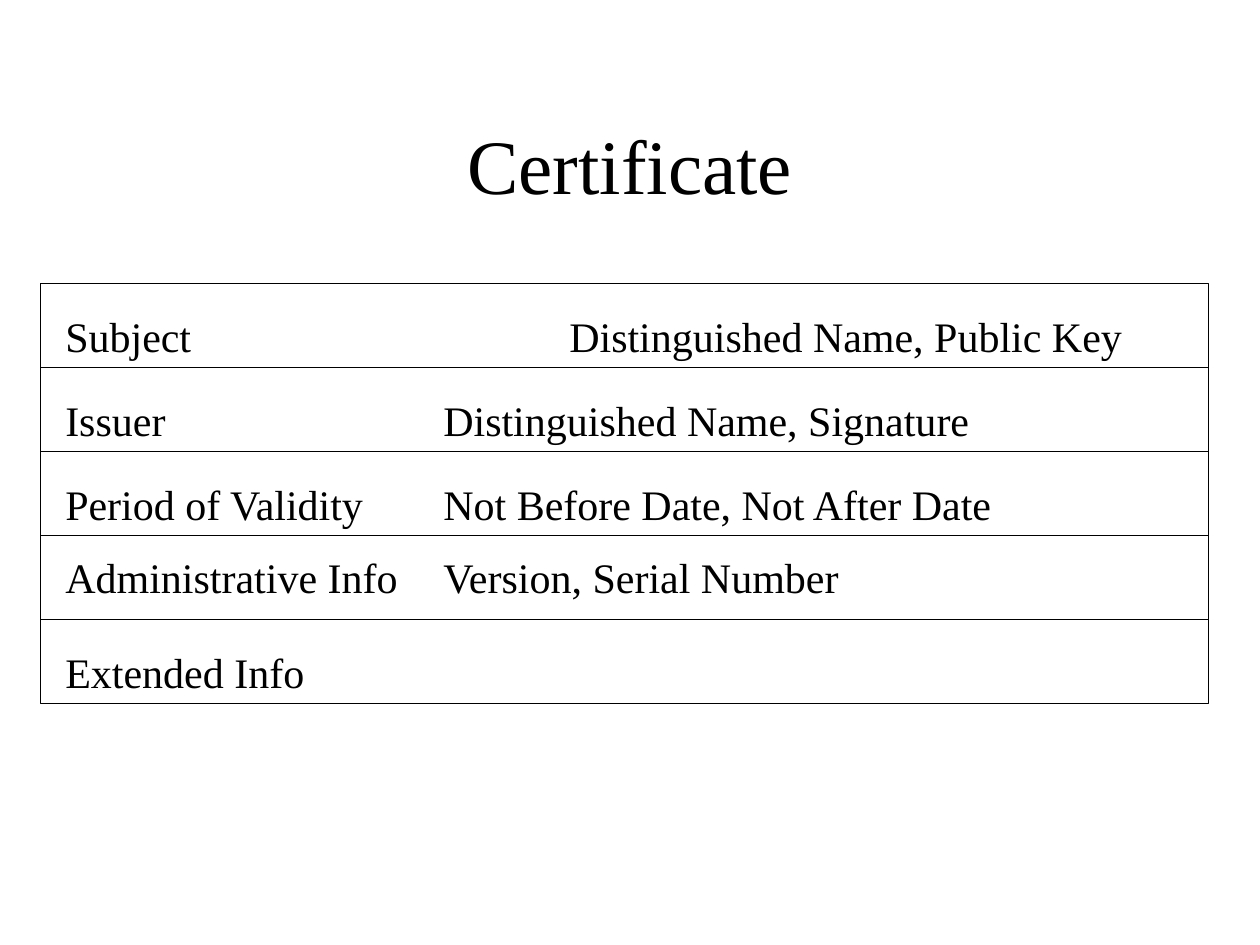
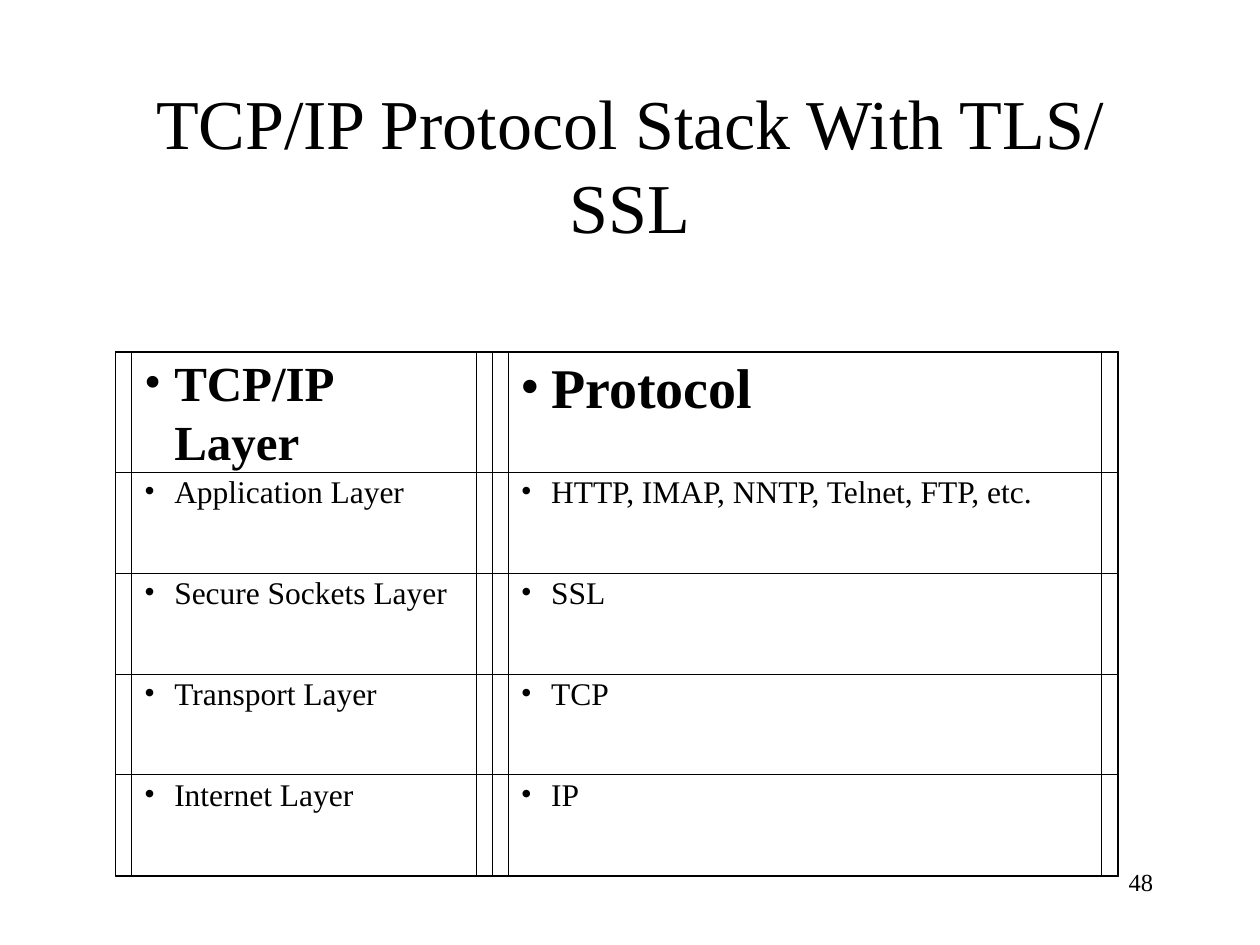
from dataclasses import dataclass
from itertools import accumulate

from lxml import etree
from pptx import Presentation, util as u
from pptx.dml.color import RGBColor
from pptx.enum import shapes, text
from pptx.oxml.ns import qn


@dataclass(frozen=True)
class Theme:
    """Colours, type sizes and line widths shared by the slides."""
    font: str = "Times New Roman"
    ink: RGBColor = RGBColor(0, 0, 0)
    paper: RGBColor = RGBColor(255, 255, 255)
    row: int = 24
    cell: int = 18
    number: int = 14
    row_line: float = 0.74
    grid_line: float = 0.51
    hang: float = 0.24


T = Theme()
W, H = 10, 7.5


def apply(target, **values):
    """Set each given attribute on the target."""
    for name, value in values.items():
        setattr(target, name, value)


def place(box):
    """Turn a box in inches into lengths."""
    return [u.Inches(v) for v in box]


def write(sp, words, size, align=text.PP_ALIGN.LEFT, bold=False,
          anchor=text.MSO_ANCHOR.TOP, pad=0.05):
    """Write one formatted paragraph into a shape and return it."""
    tf = sp.text_frame
    apply(tf, word_wrap=True, auto_size=text.MSO_AUTO_SIZE.NONE, vertical_anchor=anchor,
          margin_left=u.Inches(0.1), margin_right=u.Inches(0.1),
          margin_top=u.Inches(pad), margin_bottom=u.Inches(pad))
    p = tf.paragraphs[0]
    p.alignment = align
    r = p.add_run()
    r.text = words
    apply(r.font, name=T.font, size=u.Pt(size), bold=bold)
    r.font.color.rgb = T.ink
    return p


def add_tabs(p, stops):
    """Give a paragraph left tab stops at the given inches."""
    tabs = etree.SubElement(p._p.get_or_add_pPr(), qn("a:tabLst"))
    for stop in stops:
        etree.SubElement(tabs, qn("a:tab"), pos=str(u.Inches(stop)), algn="l")


def add_bullet(p, size):
    """Give a paragraph a round bullet with a hanging indent."""
    p.space_before = u.Pt(size / 4)
    pPr = p._p.get_or_add_pPr()
    pPr.set("marL", str(u.Inches(T.hang)))
    pPr.set("indent", str(-u.Inches(T.hang)))
    colour = etree.SubElement(pPr, qn("a:buClr"))
    etree.SubElement(colour, qn("a:srgbClr"), val=str(T.ink))
    etree.SubElement(pPr, qn("a:buFont"), typeface=T.font)
    etree.SubElement(pPr, qn("a:buChar"), char="•")


def add_frame(parent, box, line):
    """Draw an unfilled rectangle."""
    sp = parent.add_shape(shapes.MSO_SHAPE.RECTANGLE, *place(box))
    sp.shadow.inherit = False
    sp.fill.background()
    sp.line.color.rgb = T.ink
    sp.line.width = u.Pt(line)
    return sp


def add_slide(prs, title, size):
    """Start a slide with a centred title."""
    s = prs.slides.add_slide(prs.slide_layouts[5])
    s.background.fill.solid()
    s.background.fill.fore_color.rgb = T.paper
    sp = s.shapes.title
    left, top, width, height = place((0.075 * W, 0.09 * H, 0.85 * W, H / 6))
    apply(sp, left=left, top=top, width=width, height=height)
    write(sp, title, size, text.PP_ALIGN.CENTER, anchor=text.MSO_ANCHOR.MIDDLE)
    return s


def add_fields(s, box, rows):
    """Stack equal framed rows, each with tabbed text at its own drop."""
    left, top, width, height = box
    step = height / len(rows)
    for i, (words, drop) in enumerate(rows):
        y = top + i * step
        add_frame(s.shapes, (left, y, width, step), T.row_line)
        sp = s.shapes.add_textbox(*place((left + 0.1, y + drop * step, width - 0.5, 0.75 * step)))
        add_tabs(write(sp, words, T.row), range(8))


def add_layers(s, box, split, gutter, head, rows):
    """Draw a grouped two-column grid with inset bulleted cells."""
    left, top, width, height = box
    columns = [(left, split), (left + split, width - split)]
    body = (height - head) / (len(rows) - 1)
    heights = [head] + [body] * (len(rows) - 1)
    tops = accumulate(heights[:-1], initial=top)
    group = s.shapes.add_group_shape().shapes
    for i, (cells, y, tall) in enumerate(zip(rows, tops, heights)):
        for (x, wide), (words, size) in zip(columns, cells):
            sp = add_frame(group, (x + gutter, y, wide - 2 * gutter, tall), T.grid_line)
            add_bullet(write(sp, words, size, bold=i == 0, pad=0), size)
            add_frame(group, (x, y, wide, tall), T.grid_line)
    add_frame(group, (left, top - 0.01, width + 0.01, height + 0.02), T.grid_line)


def add_number(s, box, number):
    """Put the page number at the right of its box."""
    write(s.shapes.add_textbox(*place(box)), number, T.number, text.PP_ALIGN.RIGHT)


def certificate(prs):
    """Build the slide of certificate fields."""
    s = add_slide(prs, "Certificate", 44)
    add_fields(s, (0.32, 0.3 * H, 9.27, 10 / 3), [
        ("Subject\t\t\tDistinguished Name, Public Key", 0.25),
        ("Issuer\t\t\tDistinguished Name, Signature", 0.25),
        ("Period of Validity\tNot Before Date, Not After Date", 0.25),
        ("Administrative Info\tVersion, Serial Number", 0.12),
        ("Extended Info", 0.25)])


def protocol_stack(prs):
    """Build the slide of network layers and their protocols."""
    s = add_slide(prs, "TCP/IP Protocol Stack With TLS/ SSL", 40)
    add_number(s, (7.17, 6.83, 2.08, 0.5), "48")
    layers = [("Application Layer", "HTTP, IMAP, NNTP, Telnet, FTP, etc."),
              ("Secure Sockets Layer", "SSL"),
              ("Transport Layer", "TCP"),
              ("Internet Layer", "IP")]
    rows = [[("TCP/IP Layer", 28), ("Protocol", 32)]]
    rows += [[(words, T.cell) for words in layer] for layer in layers]
    add_layers(s, (0.92, 2.8, 7.95, 4.15), 2.99, 0.125, 0.95, rows)


def main():
    """Build and save the presentation."""
    prs = Presentation()
    apply(prs, slide_width=u.Inches(W), slide_height=u.Inches(H))
    certificate(prs)
    protocol_stack(prs)
    prs.save("out.pptx")


main()
